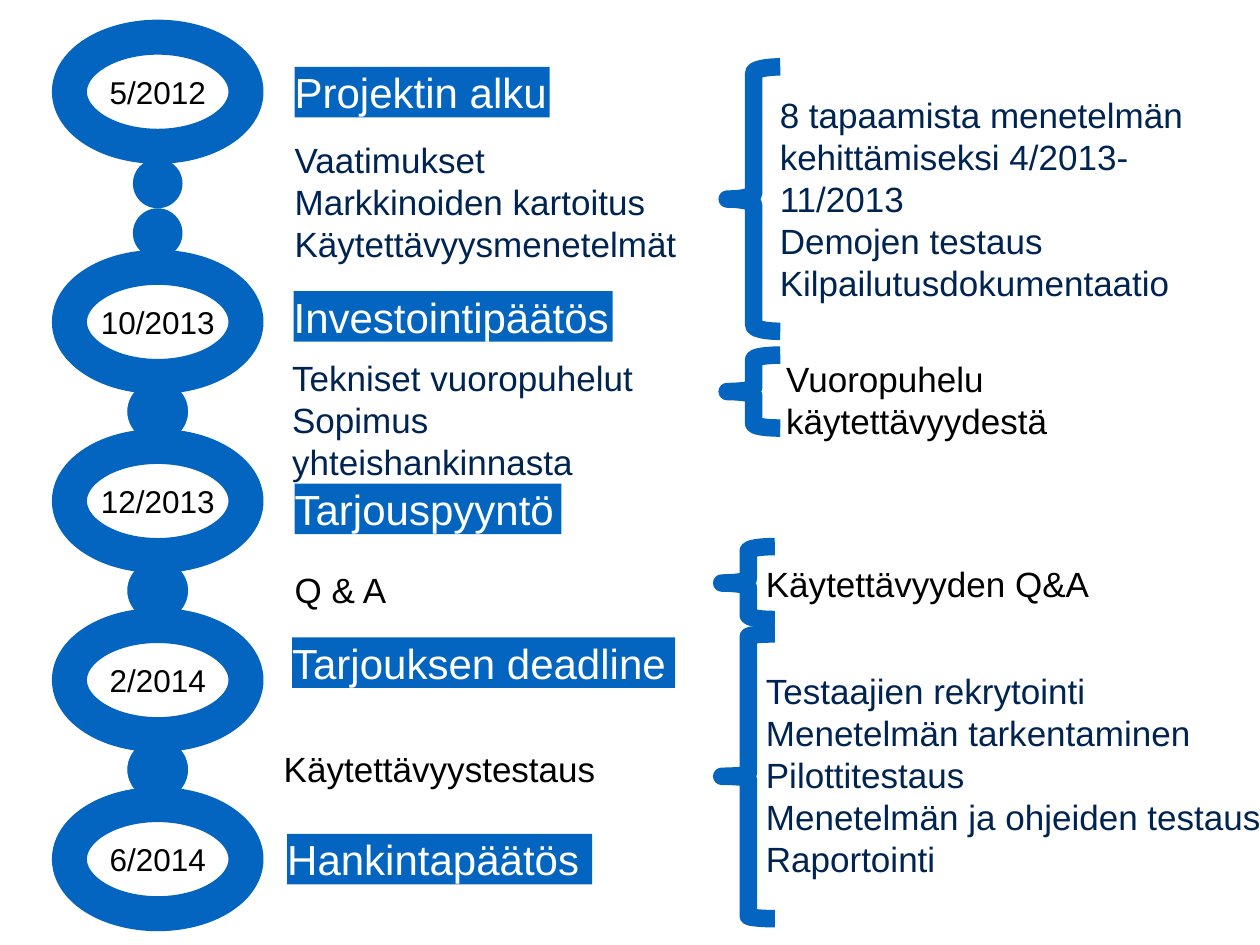
import pptx
import pptx.util
import pptx.dml.color
import pptx.enum.shapes
import pptx.enum.text

Cm = pptx.util.Cm
Pt = pptx.util.Pt
SHAPE = pptx.enum.shapes.MSO_SHAPE
BLUE = pptx.dml.color.RGBColor(0x03, 0x65, 0xC0)
NAVY = pptx.dml.color.RGBColor(0x00, 0x24, 0x52)
BLACK = pptx.dml.color.RGBColor(0, 0, 0)
WHITE = pptx.dml.color.RGBColor(0xFF, 0xFF, 0xFF)
LINE_HEIGHT = 0.85

DATES = ["5/2012", "10/2013", "12/2013", "2/2014", "6/2014"]
MILESTONES = [
    ("Projektin alku", 0.22, 0, 5.14),
    ("Investointipäätös", 0.2, 4.52, 6.43),
    ("Tarjouspyyntö", 0.22, 8.4, 5.38),
    ("Tarjouksen deadline", 0.17, 11.5, 7.72),
    ("Hankintapäätös", 0.07, 15.46, 6.15),
]
TASKS = [
    (["Vaatimukset", "Markkinoiden kartoitus", "Käytettävyysmenetelmät"],
     0.22, 1.44, 7.8, 3, NAVY),
    (["Tekniset vuoropuhelut", "Sopimus yhteishankinnasta"],
     0.17, 5.84, 7.59, 3, NAVY),
    (["Q & A"], 0.22, 10.11, 1.95, 1, BLACK),
    (["Käytettävyystestaus"], 0, 13.71, 6.4, 1, BLACK),
]
NOTES = [
    ((14.66, 1.35, 1.07, 5.33), 0.11, 1.06, 0.53, 9.32, 5, NAVY,
     ["8 tapaamista menetelmän kehittämiseksi 4/2013-11/2013",
      "Demojen testaus", "Kilpailutusdokumentaatio"]),
    ((14.66, 7.16, 1.07, 1.47), 0.08, 1.19, 0.05, 9.07, 2, BLACK,
     ["Vuoropuhelu käytettävyydestä"]),
    ((14.55, 11.02, 1.07, 1.47), 0.08, 0.89, 0.31, 9.07, 1, BLACK,
     ["Käytettävyyden Q&A"]),
    ((14.55, 12.78, 1.07, 5.74), 0.05, 0.89, 0.71, 10.06, 5, NAVY,
     ["Testaajien rekrytointi", "Menetelmän tarkentaminen", "Pilottitestaus",
      "Menetelmän ja ohjeiden testaus", "Raportointi"]),
]


def add_shape(s, kind, x, y, w, h, fill=None, line=None, width=0):
    sp = s.shapes.add_shape(kind, Cm(x), Cm(y), Cm(w), Cm(h))
    sp.shadow.inherit = False
    if fill is None:
        sp.fill.background()
    else:
        sp.fill.solid()
        sp.fill.fore_color.rgb = fill
    if line is None:
        sp.line.fill.background()
    else:
        sp.line.color.rgb = line
        sp.line.width = Pt(width)
    return sp


def set_text(sp, lines, size, color, align=pptx.enum.text.PP_ALIGN.LEFT,
             anchor=pptx.enum.text.MSO_ANCHOR.TOP):
    tf = sp.text_frame
    tf.word_wrap = True
    tf.vertical_anchor = anchor
    tf.margin_left = tf.margin_right = tf.margin_top = tf.margin_bottom = 0
    tf.text = "\n".join(lines)
    for p in tf.paragraphs:
        p.alignment = align
        p.font.name = "Arial"
        p.font.size = Pt(size)
        p.font.color.rgb = color


def add_text(s, lines, x, y, w, rows, color):
    sp = s.shapes.add_textbox(Cm(x), Cm(y), Cm(w), Cm(rows * LINE_HEIGHT))
    set_text(sp, lines, 20, color)


def add_timeline(s, x, y, w):
    ring_h, pitch, first_gap = 2.2, 3.61, 4.64
    link, dot = 1.3, 1.0
    tops = [y] + [y + first_gap + i * pitch for i in range(len(DATES) - 1)]
    for top in tops[1:-1]:
        link_y = top + (ring_h + pitch - link) / 2
        add_shape(s, SHAPE.OVAL, x + (w - link) / 2, link_y, link, link,
                  BLUE, WHITE, 2)
    for top, date in zip(tops, DATES):
        sp = add_shape(s, SHAPE.OVAL, x, top, w, ring_h, None, BLUE, 20)
        set_text(sp, [date], 18, BLACK, pptx.enum.text.PP_ALIGN.CENTER,
                 pptx.enum.text.MSO_ANCHOR.MIDDLE)
        sp.text_frame.word_wrap = False
    for i in range(2):
        add_shape(s, SHAPE.OVAL, x + (w - dot) / 2, y + 2.45 + i * dot,
                  dot, dot, BLUE)


def add_stages(s, x, y):
    for title, dx, dy, w in MILESTONES:
        sp = add_shape(s, SHAPE.RECTANGLE, x + dx, y + dy, w, 1.02, BLUE)
        set_text(sp, [title], 24, WHITE)
    for lines, dx, dy, w, rows, color in TASKS:
        add_text(s, lines, x + dx, y + dy, w, rows, color)


def add_note(s, box, curve, dx, dy, w, rows, color, lines):
    sp = add_shape(s, SHAPE.LEFT_BRACE, *box, None, BLUE, 10)
    sp.adjustments[0] = curve
    add_text(s, lines, box[0] + dx, box[1] + dy, w, rows, color)


def main():
    prs = pptx.Presentation()
    prs.slide_width, prs.slide_height = Cm(25.4), Cm(19.05)
    s = prs.slides.add_slide(prs.slide_layouts[6])
    add_timeline(s, 1.4, 0.75, 3.56)
    add_stages(s, 5.72, 1.35)
    for note in NOTES:
        add_note(s, *note)
    prs.save("out.pptx")


if __name__ == "__main__":
    main()
